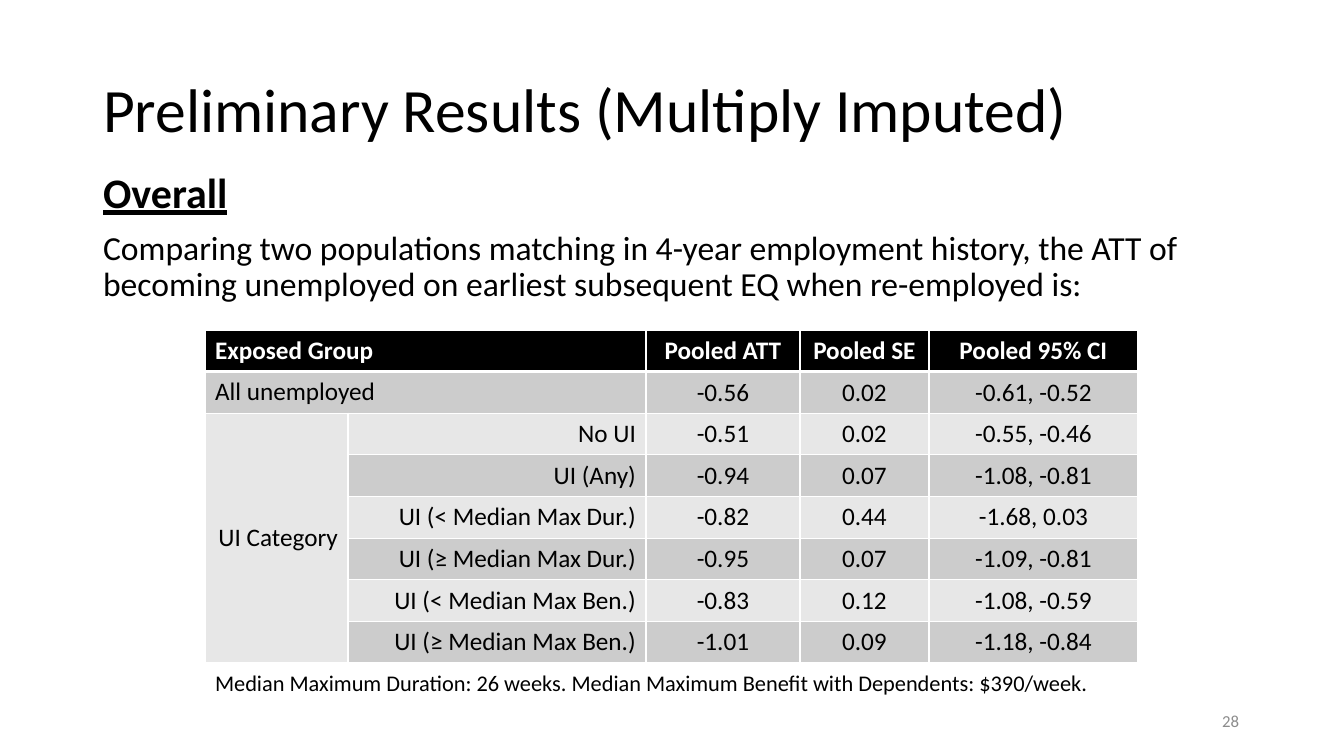
from lxml.etree import SubElement
from pptx import Presentation
from pptx.dml.color import RGBColor
from pptx.enum.text import MSO_ANCHOR, MSO_AUTO_SIZE, PP_ALIGN
from pptx.oxml.ns import qn
from pptx.util import Pt

PX = 914400 / 100.8
COLORS = {
    "text": "000000",
    "header": "000000",
    "header_text": "FFFFFF",
    "border": "FFFFFF",
    "dark_band": "CCCCCC",
    "light_band": "E7E7E7",
    "page_number": "8C8C8C",
}


def px(length):
    return round(length * PX)


def style(paragraph, size, color, bold=False, underline=False, align=PP_ALIGN.LEFT):
    paragraph.alignment = align
    for run in paragraph.runs:
        run.font.name = "Calibri"
        run.font.size = Pt(size)
        run.font.bold = bold
        run.font.underline = underline
        run.font.color.rgb = RGBColor.from_string(COLORS[color])


prs = Presentation()
prs.slide_width, prs.slide_height = px(1344), px(756)
slide = prs.slides.add_slide(prs.slide_layouts[1])

# Title and introduction
title, intro = slide.placeholders
for placeholder, top, height, anchor in (
    (title, 40, 146, MSO_ANCHOR.MIDDLE),
    (intro, 167, 561, MSO_ANCHOR.TOP),
):
    placeholder.left, placeholder.top = px(93), px(top)
    placeholder.width, placeholder.height = px(1159), px(height)
    placeholder.text_frame.auto_size = MSO_AUTO_SIZE.NONE
    placeholder.text_frame.vertical_anchor = anchor

title.text_frame.text = "Preliminary Results (Multiply Imputed)"
heading = title.text_frame.paragraphs[0]
heading.line_spacing = 0.9
style(heading, 44, "text")

intro.text_frame.text = (
    "Overall\n"
    "Comparing two populations matching in 4-year employment history, the ATT of "
    "becoming unemployed on earliest subsequent EQ when re-employed is:"
)
overall, comparison = intro.text_frame.paragraphs
style(overall, 30, "text", bold=True, underline=True)
style(comparison, 24, "text")
for paragraph in (overall, comparison):
    paragraph.line_spacing = 0.9
    paragraph.space_before = Pt(10)
    properties = paragraph._p.get_or_add_pPr()
    properties.set("marL", "0")
    properties.set("indent", "0")
    SubElement(properties, qn("a:buNone"))

# Results table
results = [
    ["Exposed Group", "", "Pooled ATT", "Pooled SE", "Pooled 95% CI"],
    ["All unemployed", "", "-0.56", "0.02", "-0.61, -0.52"],
    ["UI Category", "No UI", "-0.51", "0.02", "-0.55, -0.46"],
    ["", "UI (Any)", "-0.94", "0.07", "-1.08, -0.81"],
    ["", "UI (< Median Max Dur.)", "-0.82", "0.44", "-1.68, 0.03"],
    ["", "UI (≥ Median Max Dur.)", "-0.95", "0.07", "-1.09, -0.81"],
    ["", "UI (< Median Max Ben.)", "-0.83", "0.12", "-1.08, -0.59"],
    ["", "UI (≥ Median Max Ben.)", "-1.01", "0.09", "-1.18, -0.84"],
    ["Median Maximum Duration: 26 weeks. "
     "Median Maximum Benefit with Dependents: $390/week.", "", "", "", ""],
]
column_widths = [143, 298, 154, 129, 209]
table_height = 375
note_row = len(results) - 1

table = slide.shapes.add_table(
    len(results), len(column_widths), px(205), px(330), px(sum(column_widths)), px(table_height)
).table
table.horz_banding = False
for column, width in zip(table.columns, column_widths):
    column.width = px(width)
for row in table.rows:
    row.height = px(table_height / len(results))

for r, values in enumerate(results):
    for c, value in enumerate(values):
        cell = table.cell(r, c)
        cell.text_frame.text = value
        cell.vertical_anchor = MSO_ANCHOR.TOP if r < 2 and c < 2 else MSO_ANCHOR.MIDDLE

        if c > 1:
            align = PP_ALIGN.CENTER
        elif 2 <= r < note_row:
            align = PP_ALIGN.RIGHT
        else:
            align = PP_ALIGN.LEFT
        style(
            cell.text_frame.paragraphs[0],
            16 if r == note_row else 18,
            "header_text" if r == 0 else "text",
            bold=r == 0,
            align=align,
        )

        # White rules, thicker under the header
        for side in "LRTB":
            thick = (r, side) in ((0, "B"), (1, "T"))
            rule = SubElement(cell._tc.get_or_add_tcPr(), qn(f"a:ln{side}"), w=str(Pt(3 if thick else 1)))
            paint = SubElement(rule, qn("a:solidFill"))
            SubElement(paint, qn("a:srgbClr"), val=COLORS["border"])

        if r == note_row:
            cell.fill.background()
        else:
            band = "header" if r == 0 else "dark_band" if r % 2 else "light_band"
            cell.fill.solid()
            cell.fill.fore_color.rgb = RGBColor.from_string(COLORS[band])

for first, last in (((0, 0), (0, 1)), ((1, 0), (1, 1)), ((2, 0), (7, 0)), ((8, 0), (8, 4))):
    table.cell(*first).merge(table.cell(*last))

# Page number
page_number = slide.shapes.add_textbox(px(950), px(701), px(299), px(40)).text_frame
page_number.word_wrap = True
page_number.vertical_anchor = MSO_ANCHOR.MIDDLE
page_number.text = "28"
style(page_number.paragraphs[0], 12, "page_number", align=PP_ALIGN.RIGHT)

prs.save("out.pptx")
